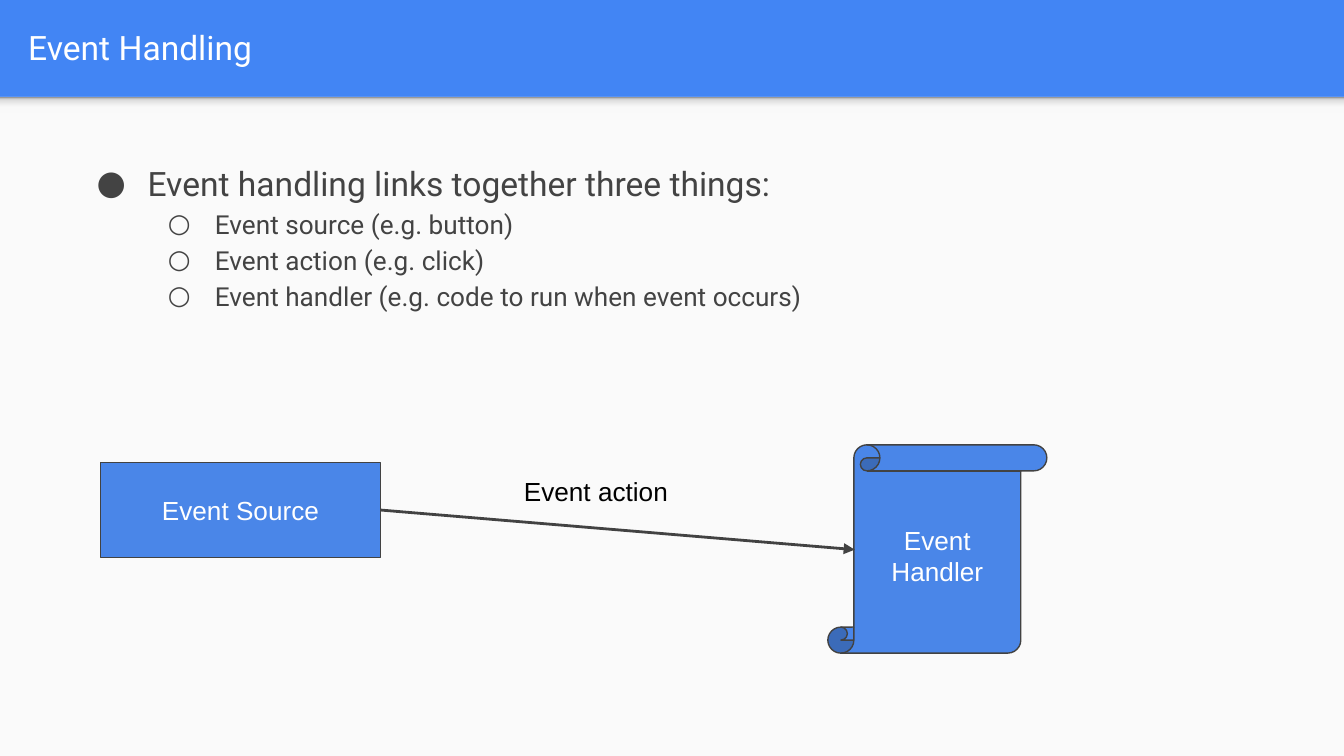
from lxml import etree
from pptx import Presentation
from pptx.dml.color import RGBColor
from pptx.enum.shapes import MSO_CONNECTOR, MSO_SHAPE
from pptx.enum.text import MSO_ANCHOR, PP_ALIGN
from pptx.oxml import parse_xml
from pptx.oxml.ns import nsdecls, qn
from pptx.util import Inches, Pt


def rgb(color):
    return RGBColor.from_string(color)


def add_text(p, text, size=14, font="Arial", color="FFFFFF", align=PP_ALIGN.LEFT):
    p.alignment = align
    r = p.add_run()
    r.text = text
    r.font.size = Pt(size)
    r.font.name = font
    r.font.color.rgb = rgb(color)


# 16:9 slide
prs = Presentation()
prs.slide_width = Inches(10)
prs.slide_height = Inches(10 * 9 / 16)
s = prs.slides.add_slide(prs.slide_layouts[5])
s.background.fill.solid()
s.background.fill.fore_color.rgb = rgb("4285F4")

# Content panel and the header's shadow
top = Inches(0.72)
panel = s.shapes.add_shape(
    MSO_SHAPE.RECTANGLE, 0, top, prs.slide_width, prs.slide_height - top
)
panel.fill.solid()
panel.fill.fore_color.rgb = rgb("FAFAFA")
band = s.shapes.add_shape(MSO_SHAPE.RECTANGLE, 0, top, prs.slide_width, Inches(0.12))
stops = [(0, "F9F9F9"), (36, "F9F9F9"), (80, "DEDEDE"), (100, "999999")]
stops_xml = "".join(
    f'<a:gs pos="{pos * 1000}"><a:srgbClr val="{color}"/></a:gs>' for pos, color in stops
)
band._element.spPr.find(qn("a:prstGeom")).addnext(parse_xml(
    f'<a:gradFill {nsdecls("a")}><a:gsLst>{stops_xml}</a:gsLst>'
    '<a:lin ang="16200000" scaled="0"/></a:gradFill>'
))
for sp in (panel, band):
    sp.shadow.inherit = False
    sp.line.fill.background()

# Title
title = s.shapes.title
title.left, title.top = Inches(0.11), Inches(0.02)
title.width, title.height = Inches(9.65), Inches(0.66)
add_text(title.text_frame.paragraphs[0], "Event Handling", size=18, font="Roboto")

# Bulleted list
body = s.shapes.add_textbox(Inches(0.5), Inches(1.07), Inches(8.99), Inches(4.06))
bullets = [
    (0, "Event handling links together three things:"),
    (1, "Event source (e.g. button)"),
    (1, "Event action (e.g. click)"),
    (1, "Event handler (e.g. code to run when event occurs)"),
]
levels = [(0.5, -0.38, "●", 18), (1, -0.35, "○", 14)]
tf = body.text_frame
for i, (level, text) in enumerate(bullets):
    margin, indent, mark, size = levels[level]
    p = tf.add_paragraph() if i else tf.paragraphs[0]
    p.level = level
    p.line_spacing = 1.15
    add_text(p, text, size=size, font="Roboto", color="434343")
    pPr = p._p.get_or_add_pPr()
    pPr.set("marL", str(Inches(margin)))
    pPr.set("indent", str(Inches(indent)))
    bu_color = etree.SubElement(pPr, qn("a:buClr"))
    etree.SubElement(bu_color, qn("a:srgbClr"), val="434343")
    etree.SubElement(pPr, qn("a:buFont"), typeface="Roboto")
    etree.SubElement(pPr, qn("a:buChar"), char=mark)

# Event source and event handler
nodes = [
    (MSO_SHAPE.RECTANGLE, "Event Source", 0.75, 3.44, 2.08, 0.71),
    (MSO_SHAPE.VERTICAL_SCROLL, "Event Handler", 6.16, 3.31, 1.63, 1.55),
]
boxes = []
for kind, text, *place in nodes:
    sp = s.shapes.add_shape(kind, *[Inches(v) for v in place])
    sp.shadow.inherit = False
    sp.fill.solid()
    sp.fill.fore_color.rgb = rgb("4A86E8")
    sp.line.color.rgb = rgb("424242")
    sp.line.width = Pt(0.75)
    add_text(sp.text_frame.paragraphs[0], text, align=PP_ALIGN.CENTER)
    boxes.append(sp)

# Arrow from source to handler
arrow = s.shapes.add_connector(
    MSO_CONNECTOR.STRAIGHT, Inches(2.83), Inches(3.8), Inches(6.36), Inches(4.09)
)
arrow.begin_connect(boxes[0], 3)
arrow.line.color.rgb = rgb("424242")
arrow.line.width = Pt(1.5)
etree.SubElement(arrow.line._get_or_add_ln(), qn("a:tailEnd"), type="triangle")
etree.SubElement(arrow._element.spPr, qn("a:effectLst"))

# Arrow label
label = s.shapes.add_textbox(Inches(3.8), Inches(3.44), Inches(1.86), Inches(0.45))
add_text(label.text_frame.paragraphs[0], "Event action", color="000000")

# Shared text frame settings
for sp in (title, body, label, *boxes):
    tf = sp.text_frame
    tf.word_wrap = True
    tf.margin_left = tf.margin_right = tf.margin_top = tf.margin_bottom = Inches(0.1)
    tf.vertical_anchor = MSO_ANCHOR.TOP if sp in (body, label) else MSO_ANCHOR.MIDDLE

prs.save("out.pptx")
